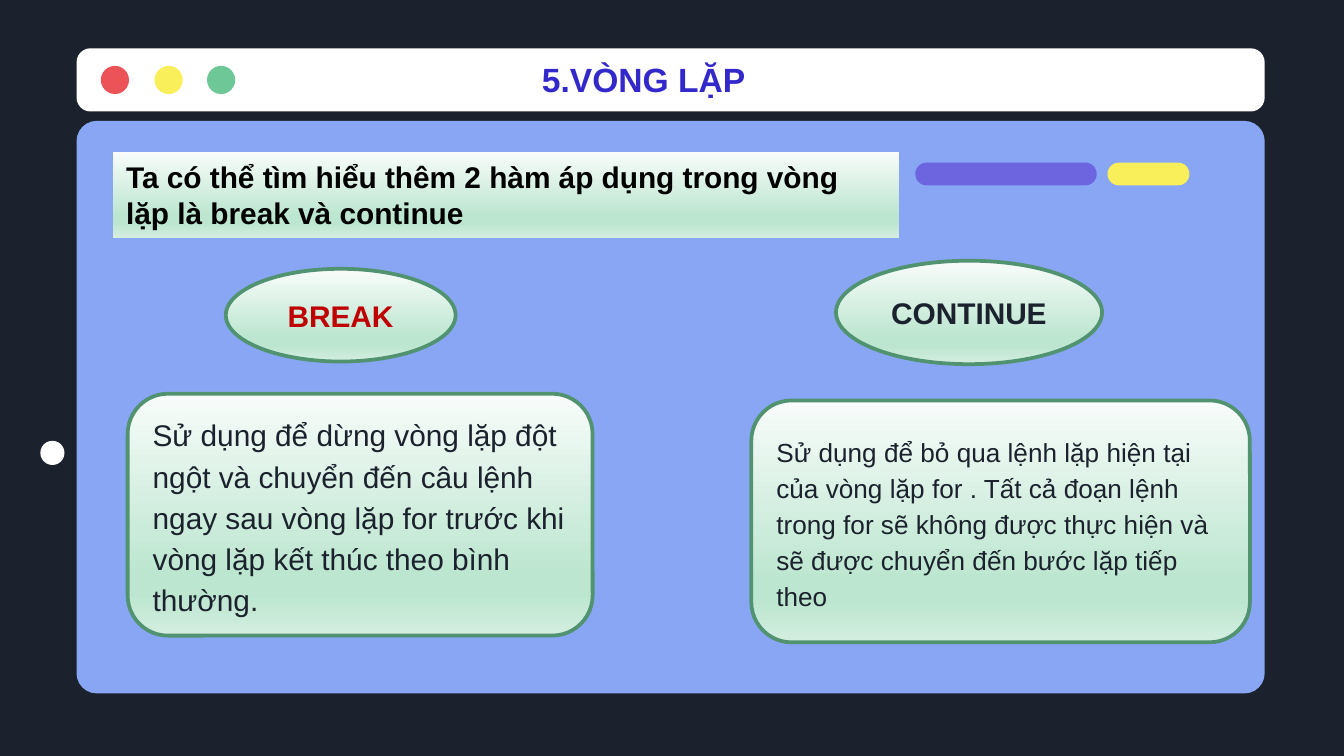
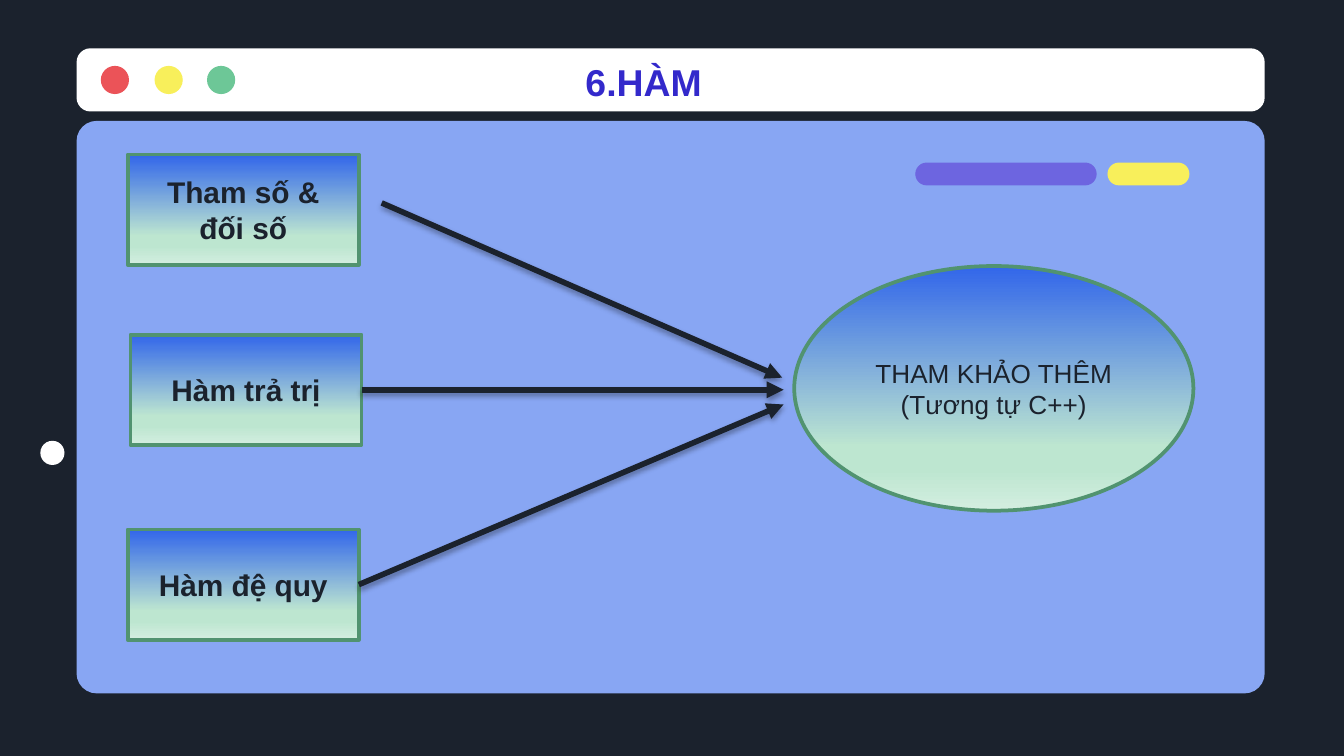
from dataclasses import dataclass

from lxml.etree import SubElement
from pptx import Presentation
from pptx.dml.color import RGBColor
from pptx.enum.shapes import MSO_CONNECTOR as Link, MSO_SHAPE as Form
from pptx.enum.text import MSO_ANCHOR as Anchor, MSO_AUTO_SIZE as Fit, PP_ALIGN as Align
from pptx.oxml.ns import qn
from pptx.util import Inches, Pt


@dataclass(frozen=True)
class Theme:
    font: str = "Arial"
    ink: str = "1B222D"
    panel: str = "88A6F3"
    white: str = "FFFFFF"
    red: str = "EB5358"
    yellow: str = "F8EF5B"
    green: str = "6DC797"
    violet: str = "6D65E0"
    title: str = "3329CB"
    black: str = "000000"
    alert: str = "C00000"
    edge: str = "519370"
    pale: str = "F8FCFA"
    blue: str = "3266EA"
    fade: tuple = ((74, "BDE6D0"), (83, "BDE6D0"), (100, "D3EEE0"))
    small: int = 14
    body: int = 16
    head: int = 18
    large: int = 20


THEME = Theme()


def write(shape, text, size, color, bold=False, align=Align.CENTER,
          anchor=Anchor.MIDDLE, space=None, grow=False):
    frame = shape.text_frame
    frame.word_wrap = True
    frame.vertical_anchor = anchor
    if grow:
        frame.auto_size = Fit.SHAPE_TO_FIT_TEXT
    para = frame.paragraphs[0]
    para.text = text
    para.alignment = align
    if space:
        para.line_spacing = space
    for run in para.runs:
        font = run.font
        font.name, font.size, font.bold = THEME.font, Pt(size), bold
        font.color.rgb = RGBColor.from_string(color)
    for gap in para._p.findall(qn("a:br")):
        SubElement(gap, qn("a:rPr"), sz=str(size * 100))


class Deck:
    def __init__(self, theme):
        self.theme = theme
        self.file = Presentation()
        self.file.slide_width = Inches(10)
        self.file.slide_height = Inches(10 * 9 / 16)
        self.slide = None

    def page(self, title, size, height):
        """Start a slide with its window frame and title."""
        t = self.theme
        self.slide = self.file.slides.add_slide(self.file.slide_layouts[6])
        back = self.slide.background.fill
        back.solid()
        back.fore_color.rgb = RGBColor.from_string(t.ink)
        self.shape(Form.ROUNDED_RECTANGLE, 0.57, 0.9, 8.84, 4.26, t.panel, 0.15 / 4.26)
        self.shape(Form.ROUNDED_RECTANGLE, 0.57, 0.36, 8.84, 0.47, t.white, 0.22)
        for x, color in ((0.75, t.red), (1.15, t.yellow), (1.54, t.green)):
            self.shape(Form.OVAL, x, 0.49, 0.21, 0.21, color)
        self.shape(Form.ROUNDED_RECTANGLE, 6.81, 1.21, 1.35, 0.17, t.violet, 0.5)
        self.shape(Form.ROUNDED_RECTANGLE, 8.24, 1.21, 0.61, 0.17, t.yellow, 0.5)
        self.shape(Form.OVAL, 0.3, 3.28, 0.18, 0.18, t.white)
        box = self.slide.shapes.add_textbox(
            Inches(2.76), Inches(0.39), Inches(4.06), Inches(height))
        write(box, title, size, t.title, bold=True, anchor=Anchor.TOP, grow=True)

    def shape(self, form, x, y, w, h, color=None, round=None):
        item = self.slide.shapes.add_shape(
            form, Inches(x), Inches(y), Inches(w), Inches(h))
        item.shadow.inherit = False
        item.line.fill.background()
        if color:
            item.fill.solid()
            item.fill.fore_color.rgb = RGBColor.from_string(color)
        if round is not None:
            item.adjustments[0] = round
        return item

    def card(self, form, x, y, w, h, text, top, size, color=None, edge=True, **style):
        """Add a text shape that fades from the top colour to green."""
        t = self.theme
        item = self.shape(form, x, y, w, h)
        item.fill.gradient()
        item.fill.gradient_angle = 270
        stops = item._element.spPr.find(".//" + qn("a:gsLst"))
        for old in list(stops):
            stops.remove(old)
        for place, tint in ((0, top), *t.fade):
            stop = SubElement(stops, qn("a:gs"), pos=str(place * 1000))
            SubElement(stop, qn("a:srgbClr"), val=tint)
        if edge:
            item.line.color.rgb = RGBColor.from_string(t.edge)
            item.line.width = Pt(2)
        write(item, text, size, color or t.ink, **style)
        return item

    def arrow(self, start, end, box=None):
        """Draw an arrow, joined to the right side of box if one is given."""
        t = self.theme
        link = self.slide.shapes.add_connector(
            Link.STRAIGHT, *(Inches(v) for v in (*start, *end)))
        if box is not None:
            link.begin_connect(box, 3)
        link.line.color.rgb = RGBColor.from_string(t.ink)
        link.line.width = Pt(3)
        props = link._element.spPr
        SubElement(props.find(qn("a:ln")), qn("a:tailEnd"), type="triangle")
        effect = SubElement(props, qn("a:effectLst"))
        shade = SubElement(effect, qn("a:outerShdw"), blurRad=str(Pt(3.1)),
                           dist=str(Pt(1.8)), dir="5400000", rotWithShape="0")
        tint = SubElement(shade, qn("a:srgbClr"), val=t.black)
        SubElement(tint, qn("a:alpha"), val="35000")


def loops(deck):
    t = deck.theme
    deck.page("5.VÒNG LẶP", t.head, 0.4)
    deck.card(Form.RECTANGLE, 0.84, 1.13, 5.85, 0.64,
              "Ta có thể tìm hiểu thêm 2 hàm áp dụng trong vòng lặp là break và continue",
              t.pale, t.body, t.black, edge=False, bold=True, align=Align.LEFT,
              anchor=Anchor.TOP, grow=True)
    deck.card(Form.OVAL, 1.68, 2, 1.71, 0.69, "BREAK", t.pale, t.body, t.alert, bold=True)
    deck.card(Form.OVAL, 6.22, 1.94, 1.98, 0.77, "CONTINUE", t.pale, t.body, bold=True)
    notes = (
        (0.95, 2.93, 3.46, t.body,
         "Sử dụng để dừng vòng lặp đột ngột và chuyển đến câu lệnh ngay sau "
         "vòng lặp for trước khi vòng lặp kết thúc theo bình thường."),
        (5.59, 2.98, 3.71, t.small,
         "Sử dụng để bỏ qua lệnh lặp hiện tại của vòng lặp for . Tất cả đoạn lệnh "
         "trong for sẽ không được thực hiện và sẽ được chuyển đến bước lặp tiếp theo"),
    )
    for x, y, w, size, text in notes:
        deck.card(Form.ROUNDED_RECTANGLE, x, y, w, 1.8, text, t.pale, size,
                  align=Align.LEFT, space=1.15)


def funcs(deck):
    t = deck.theme
    deck.page("6.HÀM", t.large, 0.44)
    topics = ((0.95, 1.15, "Tham số & đối số"), (0.97, 2.49, "Hàm trả trị"),
              (0.95, 3.94, "Hàm đệ quy"))
    boxes = [deck.card(Form.RECTANGLE, x, y, 1.72, 0.82, text, t.blue, t.body, bold=True)
             for x, y, text in topics]
    deck.arrow((2.84, 1.51), (5.82, 2.81))
    deck.arrow((2.69, 2.9), (5.83, 2.9), boxes[1])
    deck.arrow((2.67, 4.35), (5.83, 3.01), boxes[2])
    deck.card(Form.OVAL, 5.91, 1.98, 2.97, 1.82, "THAM KHẢO THÊM\n(Tương tự C++)",
              t.blue, t.small)


def main():
    deck = Deck(THEME)
    loops(deck)
    funcs(deck)
    deck.file.save("out.pptx")


if __name__ == "__main__":
    main()
